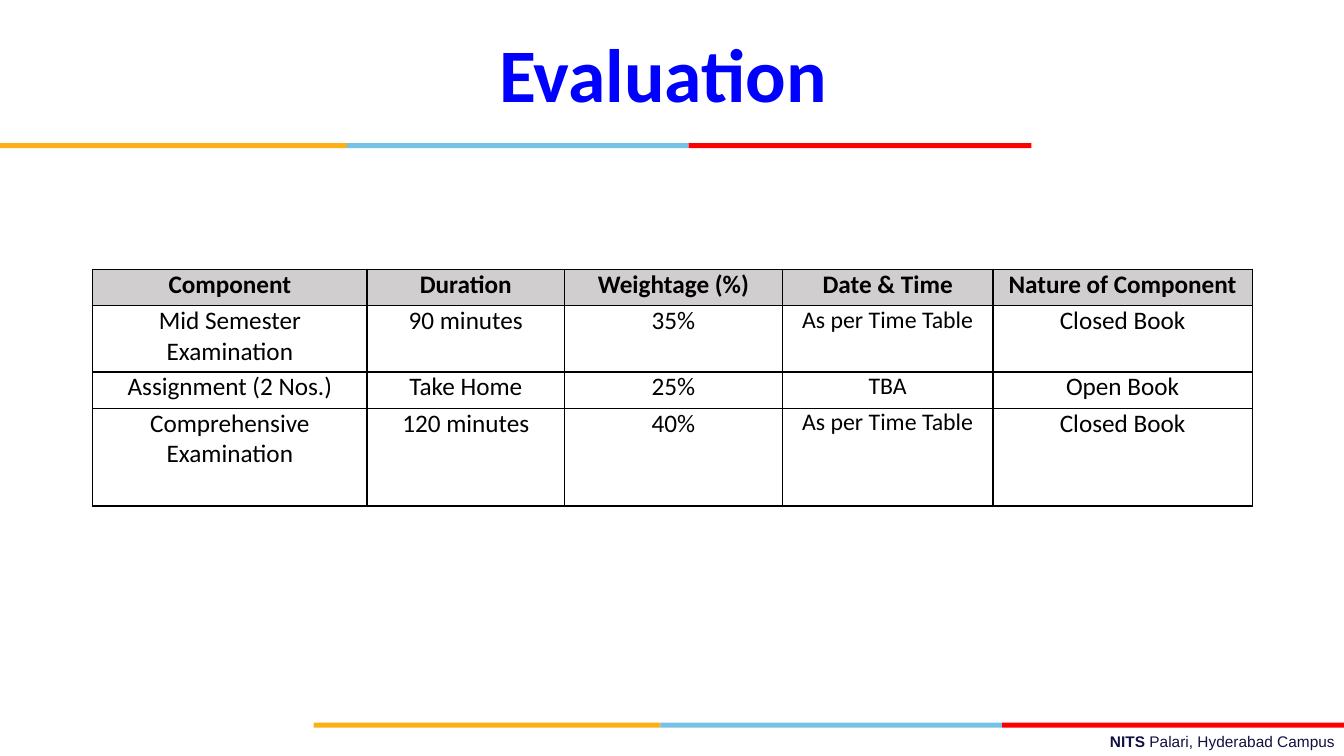
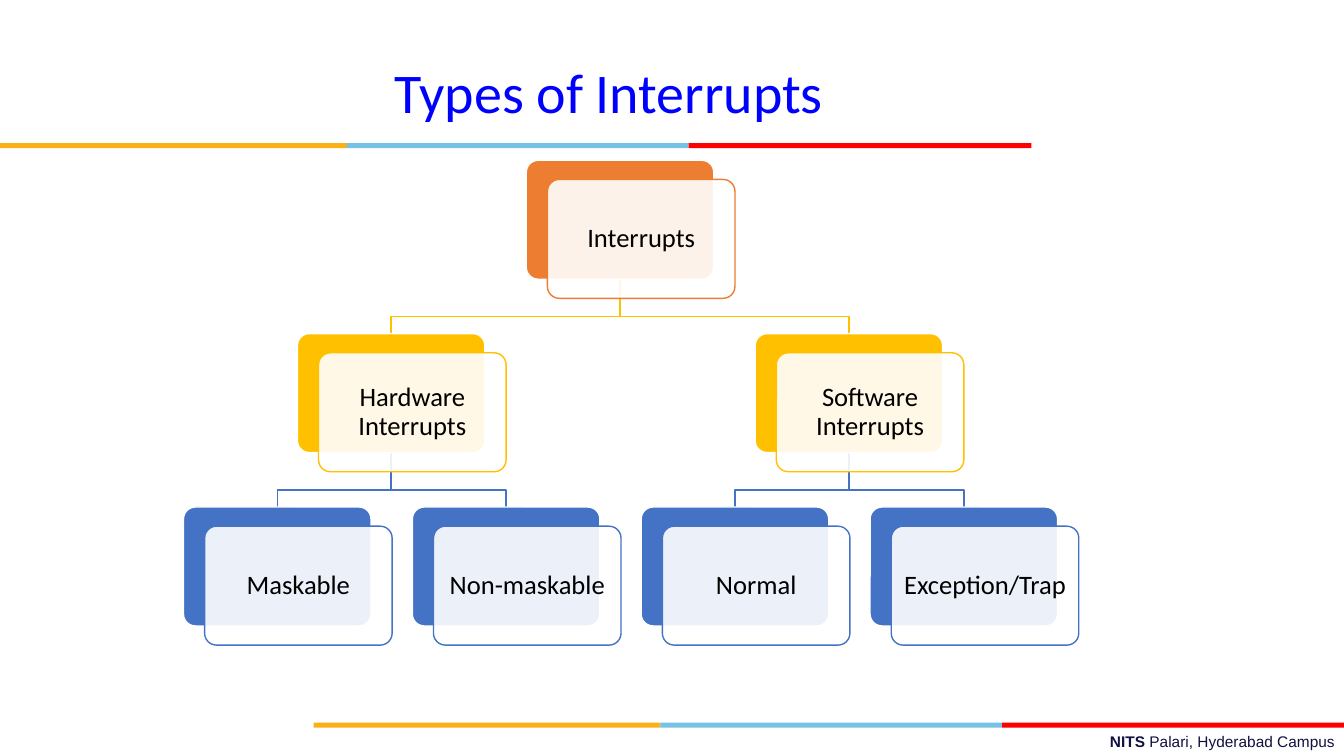
from lxml import etree
from pptx import Presentation
from pptx.dml.color import RGBColor
from pptx.enum.shapes import MSO_SHAPE
from pptx.enum.text import MSO_ANCHOR, MSO_AUTO_SIZE, PP_ALIGN
from pptx.oxml.ns import qn
from pptx.util import Pt

PX = 9144
RECT, ROUND = MSO_SHAPE.RECTANGLE, MSO_SHAPE.ROUNDED_RECTANGLE
LEFT, CENTER, RIGHT = PP_ALIGN.LEFT, PP_ALIGN.CENTER, PP_ALIGN.RIGHT
TOP, MIDDLE, BOTTOM = MSO_ANCHOR.TOP, MSO_ANCHOR.MIDDLE, MSO_ANCHOR.BOTTOM
NO_FIT = MSO_AUTO_SIZE.NONE
TITLE_ONLY = 5

COLORS = {
    "amber": "FCB017", "sky": "76C2E5", "red": "FF0000", "footer": "101141",
    "title": "0000FF", "text": "000000", "white": "FFFFFF", "header": "D0CECE",
    "orange": "ED7D31", "gold": "FFC000", "blue": "4472C4",
}
BAND = [("amber", 0, 344), ("sky", 344, 339), ("red", 683, 340)]

COL_WIDTHS = [272, 196, 216, 209, 257]
ROW_HEIGHTS = [36, 66, 36, 97]
DATE_COL = 3
EVALUATION = [
    ["Component", "Duration", "Weightage (%)", "Date & Time", "Nature of Component"],
    ["Mid Semester Examination", "90 minutes", "35%", "As per Time Table", "Closed Book"],
    ["Assignment (2 Nos.)", "Take Home", "25%", "TBA", "Open Book"],
    ["Comprehensive\nExamination", "120 minutes", "40%", "As per Time Table", "Closed Book"],
]

NODE_W, NODE_H = 186, 118
TREE_LEFT, TREE_TOP = 182, 159
COLUMN_STEP, LEVEL_STEP = 227, 172
CARD_DX, CARD_DY = 21, 19
LEVEL_COLORS = ["orange", "gold", "blue"]
TREE = ("Interrupts", [
    ("Hardware Interrupts", [("Maskable", []), ("Non-maskable", [])]),
    ("Software Interrupts", [("Normal", []), ("Exception/Trap", [])]),
])


def px(*values):
    """Turn px lengths into EMU."""
    return [int(v * PX) for v in values]


def rgb(name):
    """Look up a named colour."""
    return RGBColor.from_string(COLORS[name])


def add_run(p, text, size=18, color="text", font="Calibri", bold=False):
    """Append a formatted run to a paragraph."""
    r = p.add_run()
    r.text = text
    r.font.size, r.font.name, r.font.bold = Pt(size), font, bold
    r.font.color.rgb = rgb(color)


def write(tf, text, align=CENTER, spacing=1.0, **font):
    """Fill a text frame with one paragraph per line of text."""
    tf.word_wrap = True
    for i, line in enumerate(text.split("\n")):
        p = tf.add_paragraph() if i else tf.paragraphs[0]
        p.alignment, p.line_spacing = align, spacing
        add_run(p, line, **font)


def add_box(s, kind, box, fill, line=None):
    """Add a filled preset shape without shadow."""
    sp = s.shapes.add_shape(kind, *px(*box))
    sp.shadow.inherit = False
    sp.fill.solid()
    sp.fill.fore_color.rgb = rgb(fill)
    if line:
        sp.line.color.rgb = rgb(line)
        sp.line.width = Pt(1)
    else:
        sp.line.fill.background()
    return sp


def set_opacity(sp, percent):
    """Make the solid fill of a shape partly transparent."""
    clr = sp.element.spPr.find(qn("a:solidFill")).find(qn("a:srgbClr"))
    etree.SubElement(clr, qn("a:alpha")).set("val", str(percent * 1000))


def add_band(s, left, top):
    """Draw the three-colour band."""
    for color, dx, width in BAND:
        add_box(s, RECT, (left + dx, top, width, 5), color)


def add_footer(s):
    """Write the campus name at the lower right."""
    tf = s.shapes.add_textbox(*px(478, 721, 856, 29)).text_frame
    tf.word_wrap = True
    p = tf.paragraphs[0]
    p.alignment = RIGHT
    for text, bold in (("NITS ", True), ("Palari, Hyderabad Campus", False)):
        add_run(p, text, size=11, color="footer", font="Arial", bold=bold)


def add_slide(prs, title, box, anchor, **style):
    """Add a slide with its title, bands and footer."""
    s = prs.slides.add_slide(prs.slide_layouts[TITLE_ONLY])
    add_band(s, 0, 142)
    add_band(s, 311, 717)
    add_footer(s)
    sp = s.shapes.title
    sp.left, sp.top, sp.width, sp.height = px(*box)
    tf = sp.text_frame
    tf.auto_size, tf.vertical_anchor = NO_FIT, anchor
    write(tf, title, color="title", **style)
    return s


def set_borders(cell, color="text"):
    """Draw a thin line on all four sides of a cell."""
    tc_pr = cell._tc.get_or_add_tcPr()
    for side in ("lnL", "lnR", "lnT", "lnB"):
        ln = etree.SubElement(tc_pr, qn("a:" + side), w=str(Pt(1)))
        fill = etree.SubElement(ln, qn("a:solidFill"))
        etree.SubElement(fill, qn("a:srgbClr"), val=COLORS[color])


def add_grid(s, rows, left, top):
    """Add a bordered table with a shaded header row."""
    box = px(left, top, sum(COL_WIDTHS), sum(ROW_HEIGHTS))
    table = s.shapes.add_table(len(rows), len(COL_WIDTHS), *box).table
    table.horz_banding = False
    for col, width in zip(table.columns, px(*COL_WIDTHS)):
        col.width = width
    for row, height in zip(table.rows, px(*ROW_HEIGHTS)):
        row.height = height
    for i, row in enumerate(rows):
        for j, text in enumerate(row):
            cell, header = table.cell(i, j), i == 0
            set_borders(cell)
            cell.fill.solid()
            cell.fill.fore_color.rgb = rgb("header" if header else "white")
            cell.margin_left, cell.margin_right = px(11, 11)
            cell.margin_top = cell.margin_bottom = 0
            cell.vertical_anchor = TOP
            size = 17 if j == DATE_COL and not header else 18
            write(cell.text_frame, text, size=size, bold=header)


def add_node(s, text, left, top, color):
    """Add a coloured box with a translucent text card in front."""
    back = add_box(s, ROUND, (left, top, NODE_W, NODE_H), color, "white")
    card = add_box(s, ROUND, (left + CARD_DX, top + CARD_DY, NODE_W, NODE_H), "white", color)
    back.adjustments[0] = card.adjustments[0] = 0.1
    set_opacity(card, 90)
    tf = card.text_frame
    tf.vertical_anchor = MIDDLE
    tf.margin_left, tf.margin_top, tf.margin_right, tf.margin_bottom = px(8, 8, 8, 8)
    write(tf, text, spacing=0.9, size=19)


def add_elbow(s, start, end, color):
    """Draw a bent line from a parent down to a child."""
    (x1, y1), (x2, y2) = start, end
    bend = y2 - 17
    builder = s.shapes.build_freeform(x1, y1, scale=PX)
    builder.add_line_segments([(x1, bend), (x2, bend), (x2, y2)], close=False)
    sp = builder.convert_to_shape()
    sp.shadow.inherit = False
    sp.fill.background()
    sp.line.color.rgb = rgb(color)
    sp.line.width = Pt(1)


def place(node, level=0, first=0):
    """List the nodes of a tree as (text, left, level, parent left), root first."""
    text, children = node
    if not children:
        return [(text, TREE_LEFT + first * COLUMN_STEP, level, None)]
    branches = []
    for child in children:
        branches.append(place(child, level + 1, first))
        first += sum(not_parent(text, child) for text, *_ in branches[-1])
    left = (branches[0][0][1] + branches[-1][0][1]) // 2
    placed = [(text, left, level, None)]
    for (name, x, depth, _), *rest in branches:
        placed += [(name, x, depth, left), *rest]
    return placed


def not_parent(text, node):
    """Tell whether a text belongs to a leaf of the tree."""
    name, children = node
    if not children:
        return name == text
    return any(not_parent(text, child) for child in children)


def add_tree(s, tree):
    """Draw the lines of a tree, then its nodes."""
    nodes = place(tree)
    half = NODE_W // 2
    for _, left, level, parent in nodes:
        if parent is not None:
            top = TREE_TOP + level * LEVEL_STEP
            start = (parent + half, top - LEVEL_STEP + NODE_H)
            add_elbow(s, start, (left + half, top), LEVEL_COLORS[level])
    for text, left, level, _ in nodes:
        add_node(s, text, left, TREE_TOP + level * LEVEL_STEP, LEVEL_COLORS[level])


def main():
    """Build and save the presentation."""
    prs = Presentation()
    prs.slide_width, prs.slide_height = px(1333, 750)
    s = add_slide(prs, "Evaluation", (485, 21, 406, 102), BOTTOM,
                  align=LEFT, spacing=0.9, size=54, bold=True)
    add_grid(s, EVALUATION, 92, 267)
    s = add_slide(prs, "Types of Interrupts", (143, 46, 922, 88), MIDDLE, size=40)
    add_tree(s, TREE)
    prs.save("out.pptx")


if __name__ == "__main__":
    main()
